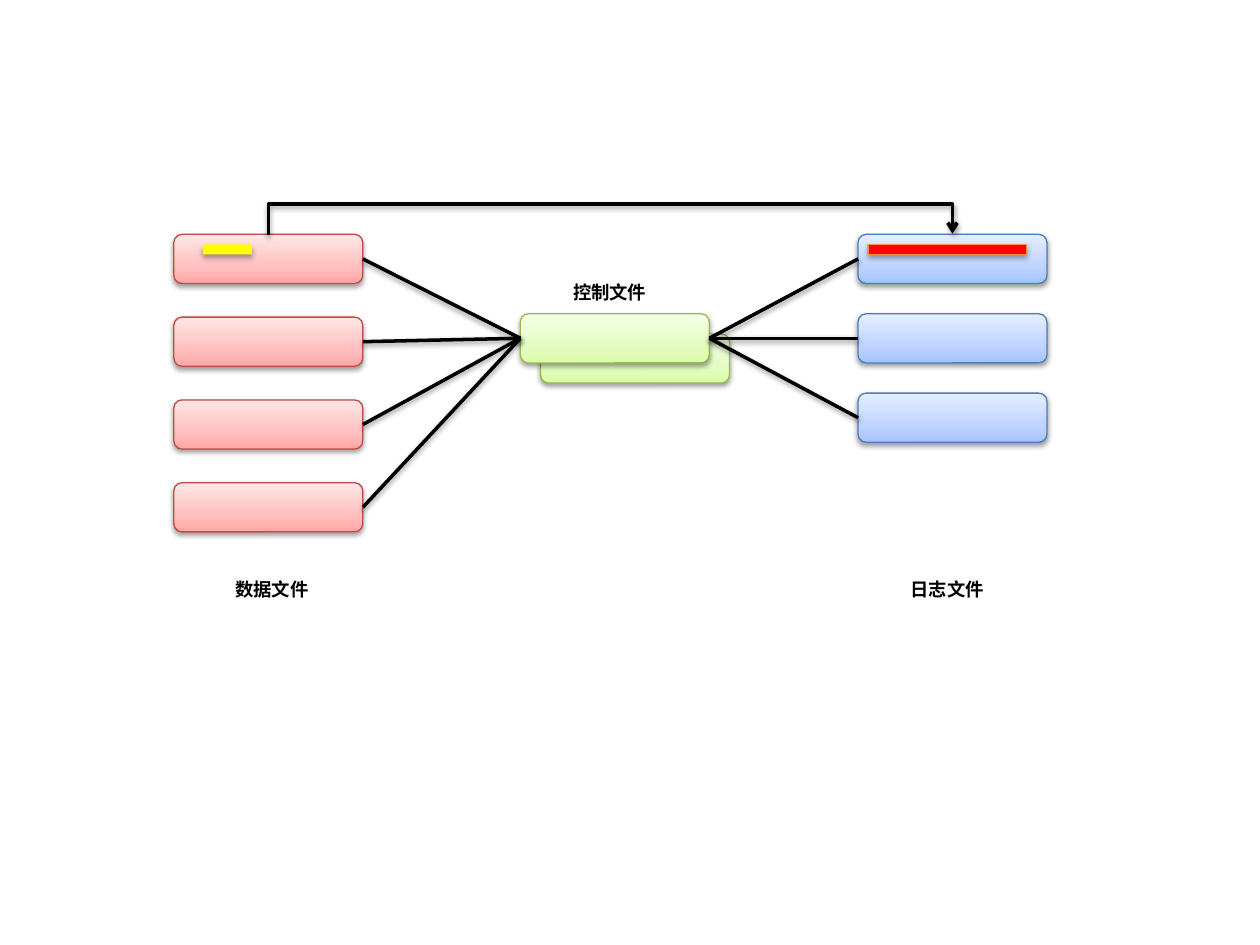
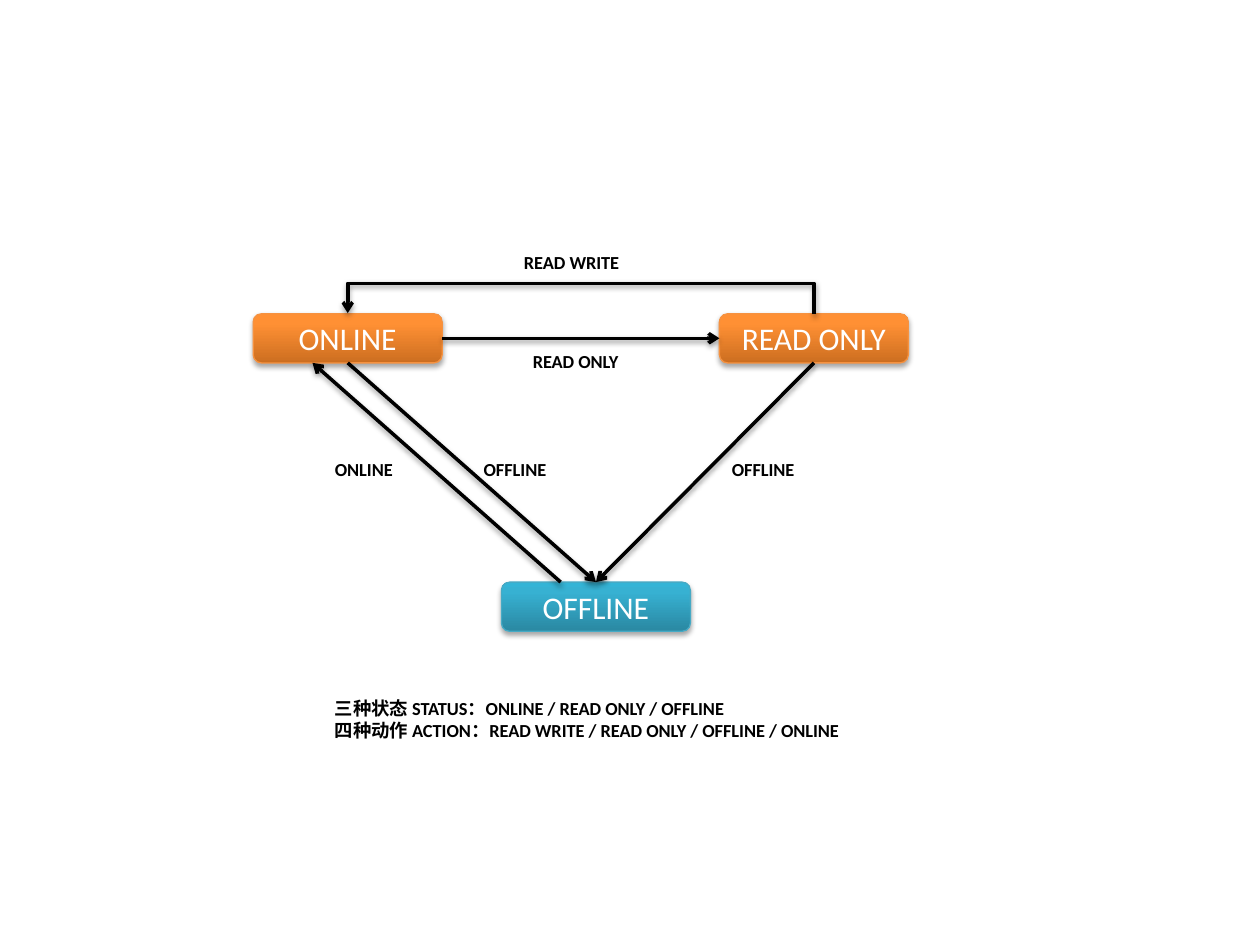
from lxml import etree
from pptx import Presentation
from pptx.dml.color import RGBColor
from pptx.enum.shapes import MSO_CONNECTOR, MSO_SHAPE
from pptx.enum.text import MSO_ANCHOR, MSO_AUTO_SIZE, PP_ALIGN
from pptx.oxml import parse_xml
from pptx.oxml.ns import nsdecls, qn
from pptx.util import Inches, Pt

ROUND, RECT = MSO_SHAPE.ROUNDED_RECTANGLE, MSO_SHAPE.RECTANGLE
LINE, ELBOW = MSO_CONNECTOR.STRAIGHT, MSO_CONNECTOR.ELBOW
MIDDLE, CENTER = MSO_ANCHOR.MIDDLE, PP_ALIGN.CENTER
GROW = MSO_AUTO_SIZE.SHAPE_TO_FIT_TEXT

HUES = {"ink": "000000", "white": "FFFFFF", "mark": "FFFF00", "log": "FF0000",
        "red": "BF4C48", "blue": "4B7EBC", "green": "98B955",
        "orange": "F69240", "teal": "46AAC5"}
FADES = {"red": [(0, "FFA6A5"), (35, "FFC0BF"), (100, "FFE7E7")],
         "blue": [(0, "A4C4FF"), (35, "BFD4FF"), (100, "E6EEFF")],
         "green": [(0, "DAFDA7"), (35, "E4FCC2"), (100, "F5FFE7")],
         "orange": [(0, "CC6E20"), (80, "FF9034"), (100, "FF9136")],
         "teal": [(0, "2A88A2"), (80, "37B1D2"), (100, "34B4D6")]}
LABEL = {"name": "Calibri", "size": Pt(10.5), "bold": True}
STATE = {"name": "Calibri", "size": Pt(18), "bold": False}
SOFT, DEEP = (38, 1.6), (35, 1.8)
WIDE, HIGH = 1.5, 0.39
RISE = 0.25


def hue(name):
    """Return the named colour."""
    return RGBColor.from_string(HUES[name])


def shade(shape, cast):
    """Give a shape or connector a shadow that falls straight down."""
    alpha, dist = cast
    shape._element.spPr.append(parse_xml(
        f'<a:effectLst {nsdecls("a")}><a:outerShdw blurRad="{Pt(3.1)}" '
        f'dist="{Pt(dist)}" dir="5400000" rotWithShape="0"><a:srgbClr val="000000">'
        f'<a:alpha val="{alpha * 1000}"/></a:srgbClr></a:outerShdw></a:effectLst>'))


def fade(shape, stops):
    """Fill a shape with a gradient that runs upward."""
    marks = "".join(f'<a:gs pos="{pos * 1000}"><a:srgbClr val="{tint}"/></a:gs>'
                    for pos, tint in stops)
    shape._element.spPr.find(qn("a:prstGeom")).addnext(parse_xml(
        f'<a:gradFill {nsdecls("a")} rotWithShape="1"><a:gsLst>{marks}</a:gsLst>'
        '<a:lin ang="16200000" scaled="0"/></a:gradFill>'))


def write(para, text, style, tint):
    """Add one styled run to a paragraph."""
    run = para.add_run()
    run.text = text
    for key, value in style.items():
        setattr(run.font, key, value)
    run.font.color.rgb = hue(tint)


def card(slide, left, top, look, cast=SOFT, text=None):
    """Draw a rounded gradient box, with a centred text if given."""
    shape = slide.shapes.add_shape(
        ROUND, Inches(left), Inches(top), Inches(WIDE), Inches(HIGH))
    fade(shape, FADES[look])
    shape.line.color.rgb = hue(look)
    shape.line.width = Pt(0.75)
    shade(shape, cast)
    if text:
        frame = shape.text_frame
        frame.vertical_anchor = MIDDLE
        frame.paragraphs[0].alignment = CENTER
        write(frame.paragraphs[0], text, STATE, "white")


def bar(slide, box, tint, edge=None):
    """Draw a thin solid bar."""
    shape = slide.shapes.add_shape(RECT, *map(Inches, box))
    shape.fill.solid()
    shape.fill.fore_color.rgb = hue(tint)
    if edge:
        shape.line.color.rgb = hue(edge)
        shape.line.width = Pt(0.75)
    else:
        shape.line.fill.background()
    shade(shape, DEEP)


def note(slide, box, lines, wrap=False):
    """Place bold text, one paragraph a line."""
    frame = slide.shapes.add_textbox(*map(Inches, box)).text_frame
    frame.word_wrap = wrap
    frame.auto_size = GROW
    for i, text in enumerate(lines):
        para = frame.add_paragraph() if i else frame.paragraphs[0]
        write(para, text, LABEL, "ink")


def ink(wire, arrow):
    """Style a connector, with an arrowhead at its end if wanted."""
    wire.line.color.rgb = hue("ink")
    wire.line.width = Pt(2)
    if arrow:
        etree.SubElement(wire.line._get_or_add_ln(), qn("a:tailEnd"), type="arrow")
    shade(wire, SOFT)


def link(slide, start, end, arrow=False):
    """Draw a straight line between two points."""
    wire = slide.shapes.add_connector(LINE, *map(Inches, (*start, *end)))
    ink(wire, arrow)


def bridge(slide, start, end, top):
    """Draw an arrow that rises over the gap between two box tops."""
    span, thin = abs(end - start), 0.01
    wire = slide.shapes.add_connector(ELBOW, 0, 0, Inches(thin), Inches(span))
    wire.left = Inches((start + end - thin) / 2)
    wire.top = Inches(top - span / 2)
    wire.rotation = 90 if start < end else 270
    props = wire._element.spPr
    frame = props.find(qn("a:xfrm"))
    frame.set("flipV", "1")
    if start < end:
        frame.set("flipH", "1")
    guides = props.find(qn("a:prstGeom")).get_or_add_avLst()
    etree.SubElement(guides, qn("a:gd"), name="adj1",
                     fmla=f"val {round(RISE / thin * 100000)}")
    ink(wire, True)


def stack(slide, left, top, count, pitch, look):
    """Draw a column of boxes and return their middle heights."""
    tops = [top + i * pitch for i in range(count)]
    for y in tops:
        card(slide, left, y, look)
    return [y + HIGH / 2 for y in tops]


def files(slide, left, top):
    """Show control files tied to data files and log files."""
    mid, right, row = left + 2.75, left + 5.43, top + 0.63
    data = stack(slide, left, top, 4, 0.657, "red")
    logs = stack(slide, right, top, 3, 0.63, "blue")
    for step in (0.16, 0):
        card(slide, mid + step, row + step, "green")
    for x, y, text in ((left + 0.39, top + 2.68, "数据文件"),
                       (mid + 0.32, row - 0.31, "控制文件"),
                       (right + 0.32, top + 2.68, "日志文件")):
        note(slide, (x, y, 0.79, 0.28), [text])
    hub = row + HIGH / 2
    for y in data:
        link(slide, (mid, hub), (left + WIDE, y))
    for y in logs:
        link(slide, (mid + WIDE, hub), (right, y))
    bar(slide, (left + 0.23, top + 0.08, 0.39, 0.08), "mark")
    bar(slide, (right + 0.08, top + 0.08, 1.26, 0.08), "log", "orange")
    bridge(slide, left + WIDE / 2, right + WIDE / 2, top)


def states(slide, left, top):
    """Show three states and the actions that move between them."""
    right, mid, low = left + 3.7, left + 1.97, top + 2.13
    half, base = WIDE / 2, top + HIGH
    card(slide, left, top, "orange", DEEP, "ONLINE")
    card(slide, mid, low, "teal", DEEP, "OFFLINE")
    card(slide, right, top, "orange", DEEP, "READ ONLY")
    hub, row = (mid + half, low), top + HIGH / 2
    for start, end in (((left + WIDE, row), (right, row)),
                       ((right + half, base), hub),
                       ((left + half, base), hub),
                       ((mid + 0.47, low), (left + 0.47, base))):
        link(slide, start, end, True)
    bridge(slide, right + half, left + half, top)
    for x, y, wide, text in ((2.12, 0.24, 0.91, "READ ONLY"),
                             (3.7, 1.1, 0.71, "OFFLINE"),
                             (1.73, 1.1, 0.71, "OFFLINE"),
                             (2.05, -0.55, 0.97, "READ WRITE"),
                             (0.55, 1.1, 0.67, "ONLINE")):
        note(slide, (left + x, top + y, wide, 0.28), [text])
    note(slide, (left + 0.55, top + 2.99, 4.65, 0.45),
         ["三种状态 STATUS：ONLINE / READ ONLY / OFFLINE",
          "四种动作 ACTION：READ WRITE / READ ONLY / OFFLINE / ONLINE"], True)


def main():
    """Build both slides and save them."""
    deck = Presentation()
    deck.slide_width, deck.slide_height = Inches(10), Inches(7.5)
    for draw, left, top in ((files, 1.38, 1.86), (states, 2.01, 2.49)):
        draw(deck.slides.add_slide(deck.slide_layouts[6]), left, top)
    deck.save("out.pptx")


main()
